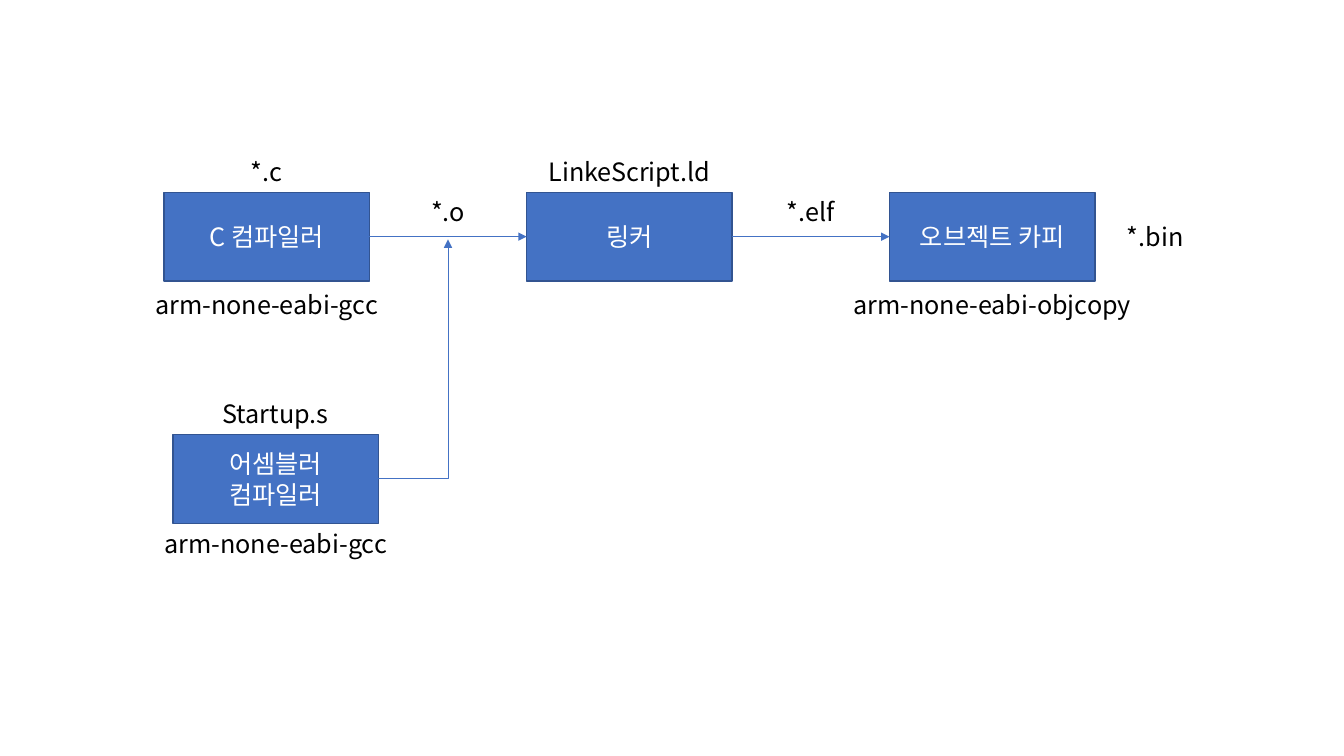
from lxml.etree import SubElement
from pptx import Presentation
from pptx.dml.color import RGBColor
from pptx.enum.shapes import MSO_CONNECTOR, MSO_SHAPE
from pptx.enum.text import MSO_ANCHOR, PP_ALIGN
from pptx.oxml.ns import qn
from pptx.util import Pt

COLORS = {"box": "4472C4", "edge": "325491", "light": "FFFFFF", "dark": "000000"}
FONT = "Noto Sans CJK KR"
BOX_W, BOX_H, LABEL_H = 146.8, 63.5, 29


def rgb(name):
    return RGBColor.from_string(COLORS[name])


def write(sp, text, color):
    tf = sp.text_frame
    tf.word_wrap = True
    p = tf.paragraphs[0]
    p.text = text
    p.alignment = PP_ALIGN.CENTER
    p.font.size = Pt(18)
    p.font.name = FONT
    p.font.color.rgb = rgb(color)
    for props in sp._element.iter(qn("a:defRPr")):
        SubElement(props, qn("a:ea")).set("typeface", FONT)


def add_label(shapes, center, top, text, width=72):
    sp = shapes.add_textbox(Pt(center - width / 2), Pt(top), Pt(width), Pt(LABEL_H))
    write(sp, text, "dark")


def add_stage(shapes, left, top, name, source=None, tool=None, tool_gap=2):
    sp = shapes.add_shape(MSO_SHAPE.RECTANGLE, Pt(left), Pt(top), Pt(BOX_W), Pt(BOX_H))
    sp.shadow.inherit = False
    sp.fill.solid()
    sp.fill.fore_color.rgb = rgb("box")
    sp.line.color.rgb = rgb("edge")
    sp.line.width = Pt(1)
    sp.text_frame.vertical_anchor = MSO_ANCHOR.MIDDLE
    write(sp, name, "light")
    center = left + BOX_W / 2
    if source:
        add_label(shapes, center, top - LABEL_H, source, 212)
    if tool:
        add_label(shapes, center, top + BOX_H + tool_gap, tool, 248)


def add_arrow(shapes, x1, y1, x2, y2, bent=False):
    kind = MSO_CONNECTOR.ELBOW if bent else MSO_CONNECTOR.STRAIGHT
    cx = shapes.add_connector(kind, Pt(x1), Pt(y1), Pt(x2), Pt(y2))
    cx.line.color.rgb = rgb("box")
    cx.line.width = Pt(0.5)
    SubElement(cx.line._get_or_add_ln(), qn("a:tailEnd")).set("type", "triangle")
    SubElement(cx._element.spPr, qn("a:effectLst"))
    if bent:
        cx._element.spPr.find(qn("a:prstGeom")).set("prst", "bentConnector2")


def add_build_flow(slide, left, top, pitch):
    shapes = slide.shapes
    stages = [
        ("C 컴파일러", "*.c", "arm-none-eabi-gcc"),
        ("링커", "LinkeScript.ld", None),
        ("오브젝트 카피", None, "arm-none-eabi-objcopy"),
    ]
    gap = pitch - BOX_W
    middle = top + BOX_H / 2
    for i, stage in enumerate(stages):
        add_stage(shapes, left + i * pitch, top, *stage)
    for i, output in enumerate(["*.o", "*.elf"]):
        right = left + i * pitch + BOX_W
        add_arrow(shapes, right, middle, right + gap, middle)
        add_label(shapes, right + gap / 2, top - 0.5, output)
    add_label(shapes, left + 2 * pitch + BOX_W + 43, middle - LABEL_H / 2, "*.bin")

    asm_left, asm_top = left + 6.5, top + 173
    asm = shapes.add_group_shape().shapes
    add_stage(asm, asm_left, asm_top, "어셈블러 컴파일러", "Startup.s", "arm-none-eabi-gcc", 0)
    add_arrow(shapes, asm_left + BOX_W, asm_top + BOX_H / 2,
              left + BOX_W + gap / 2, middle + 2, bent=True)


prs = Presentation()
prs.slide_width, prs.slide_height = Pt(960), Pt(540)
slide = prs.slides.add_slide(prs.slide_layouts[6])
add_build_flow(slide, left=117, top=137.3, pitch=259.2)
prs.save("out.pptx")
